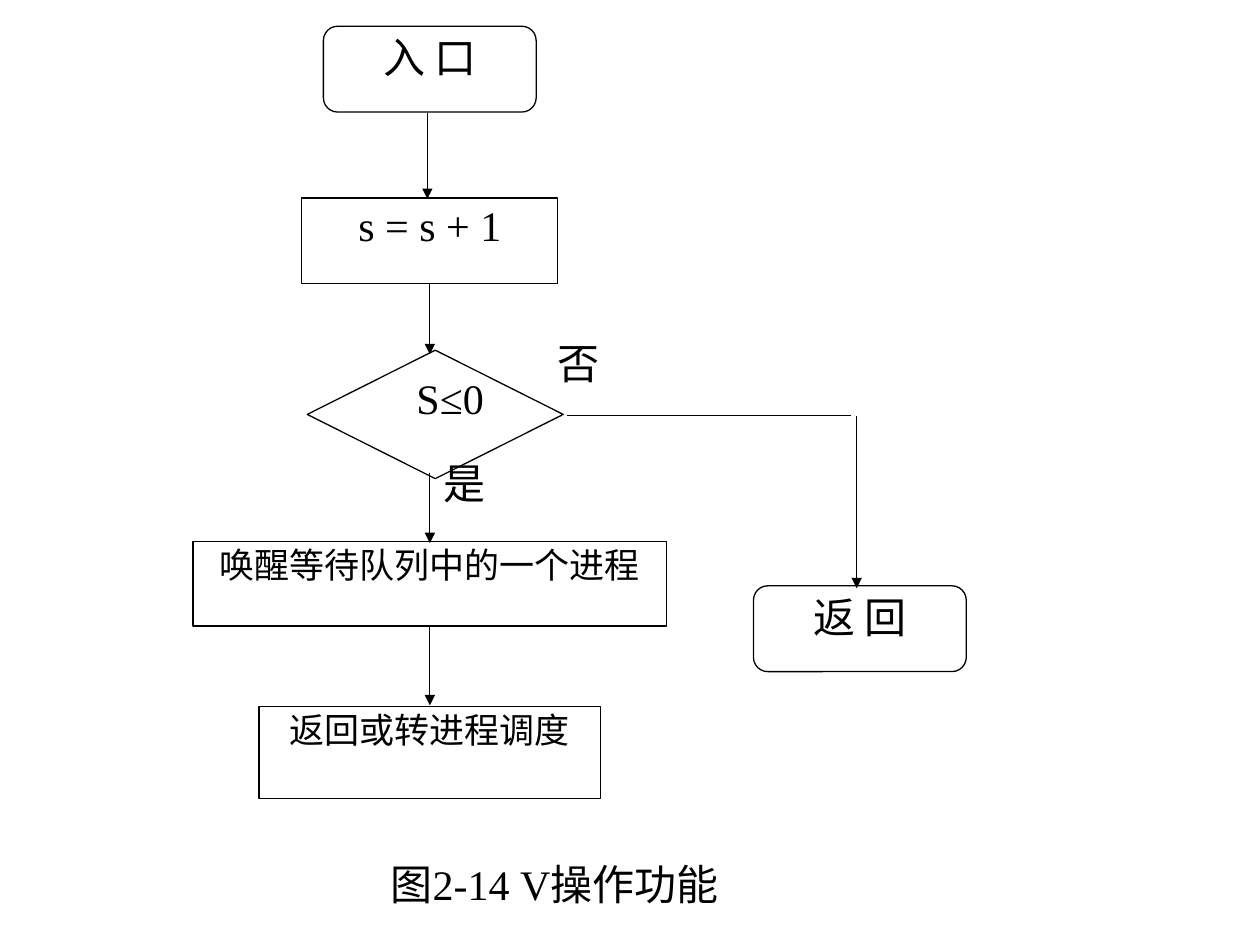
from lxml import etree
from pptx import Presentation
from pptx.dml.color import RGBColor
from pptx.enum.shapes import MSO_CONNECTOR, MSO_SHAPE
from pptx.enum.text import MSO_ANCHOR, PP_ALIGN
from pptx.oxml.ns import qn
from pptx.util import Cm, Pt

RECTANGLE = MSO_SHAPE.RECTANGLE
ROUNDED = MSO_SHAPE.ROUNDED_RECTANGLE
DIAMOND = MSO_SHAPE.DIAMOND
STRAIGHT = MSO_CONNECTOR.STRAIGHT
CENTER = PP_ALIGN.CENTER
TOP, BOTTOM = MSO_ANCHOR.TOP, MSO_ANCHOR.BOTTOM

FONT = "Times New Roman"
BLACK = "000000"
LINE_WIDTH = Pt(0.75)
TERMINAL_WIDTH, TERMINAL_HEIGHT = 4.29, 1.73


def color(hex_string):
    return RGBColor.from_string(hex_string)


def write_text(shape, text, size, anchor=TOP, wrap=True, bottom=0.03):
    frame = shape.text_frame
    frame.word_wrap = wrap
    frame.vertical_anchor = anchor
    frame.margin_left = frame.margin_right = Cm(0.05)
    frame.margin_top = Cm(0.03)
    frame.margin_bottom = Cm(bottom)
    paragraph = frame.paragraphs[0]
    paragraph.text = text
    paragraph.alignment = CENTER
    paragraph.font.name = FONT
    paragraph.font.size = Pt(size)
    paragraph.font.color.rgb = color(BLACK)


def add_node(slide, kind, center, top, width, height, text="", size=24):
    """Add an outlined flowchart symbol centred on a vertical axis."""
    shape = slide.shapes.add_shape(
        kind, Cm(center - width / 2), Cm(top), Cm(width), Cm(height))
    shape.shadow.inherit = False
    shape.fill.background()
    shape.line.color.rgb = color(BLACK)
    shape.line.width = LINE_WIDTH
    if text:
        write_text(shape, text, size)


def add_label(slide, center, top, text):
    label = slide.shapes.add_textbox(
        Cm(center - TERMINAL_WIDTH / 2), Cm(top),
        Cm(TERMINAL_WIDTH), Cm(TERMINAL_HEIGHT))
    write_text(label, text, 24)


def add_line(slide, start, end, arrow=True):
    connector = slide.shapes.add_connector(
        STRAIGHT, *(Cm(value) for value in (*start, *end)))
    connector.line.color.rgb = color(BLACK)
    connector.line.width = LINE_WIDTH
    if arrow:
        outline = connector.line._get_or_add_ln()
        etree.SubElement(outline, qn("a:tailEnd"), type="triangle")
    etree.SubElement(connector._element.spPr, qn("a:effectLst"))


def add_main_flow(slide, left, top, width):
    """Draw the main column of steps and the arrows between them."""
    axis = left + width / 2
    steps = [
        (ROUNDED, 0, 0, TERMINAL_WIDTH, TERMINAL_HEIGHT, "入 口", 24),
        (RECTANGLE, 0, 3.46, 5.16, 1.73, "s = s + 1", 24),
        (DIAMOND, 0.11, 6.53, 5.16, 2.59, "", 24),
        (RECTANGLE, 0, 10.39, width, 1.7, "唤醒等待队列中的一个进程", 20),
        (RECTANGLE, 0, 13.72, 6.88, 1.85, "返回或转进程调度", 20),
    ]
    for kind, shift, offset, *details in steps:
        add_node(slide, kind, axis + shift, top + offset, *details)
    for shift, start, end in [(-0.05, 1.75, 3.48), (0, 5.19, 6.61),
                              (0, 9, 10.42), (0, 12.12, 13.69)]:
        add_line(slide, (axis + shift, top + start), (axis + shift, top + end))
    add_label(slide, axis + 0.41, top + 6.94, "S≤0")
    add_label(slide, axis + 0.69, top + 8.66, "是")


def add_return_branch(slide, left, top, width, height):
    """Draw the branch that leaves the decision and ends in a return."""
    node_center = left + width - TERMINAL_WIDTH / 2
    node_top = top + height - TERMINAL_HEIGHT
    arrow_x = left + 5.84
    add_label(slide, left + 0.24, top - 1.6, "否")
    add_line(slide, (left, top), (arrow_x - 0.12, top), arrow=False)
    add_line(slide, (arrow_x, top), (arrow_x, node_top + 0.05))
    add_node(slide, ROUNDED, node_center, node_top,
             TERMINAL_WIDTH, TERMINAL_HEIGHT, "返 回")


def add_caption(slide, left, top, width, height):
    caption = slide.shapes.add_textbox(
        Cm(left), Cm(top), Cm(width), Cm(height))
    write_text(caption, "图2-14 V操作功能", 24, BOTTOM, wrap=False, bottom=0.13)


def main():
    presentation = Presentation()
    presentation.slide_width = Cm(25.4)
    presentation.slide_height = Cm(19.05)
    slide = presentation.slides.add_slide(presentation.slide_layouts[6])
    add_main_flow(slide, 3.89, 0.53, 9.55)
    add_return_branch(slide, 11.43, 8.38, 8.05, 5.16)
    add_caption(slide, 7.32, 16.33, 7.72, 2.13)
    presentation.save("out.pptx")


if __name__ == "__main__":
    main()
